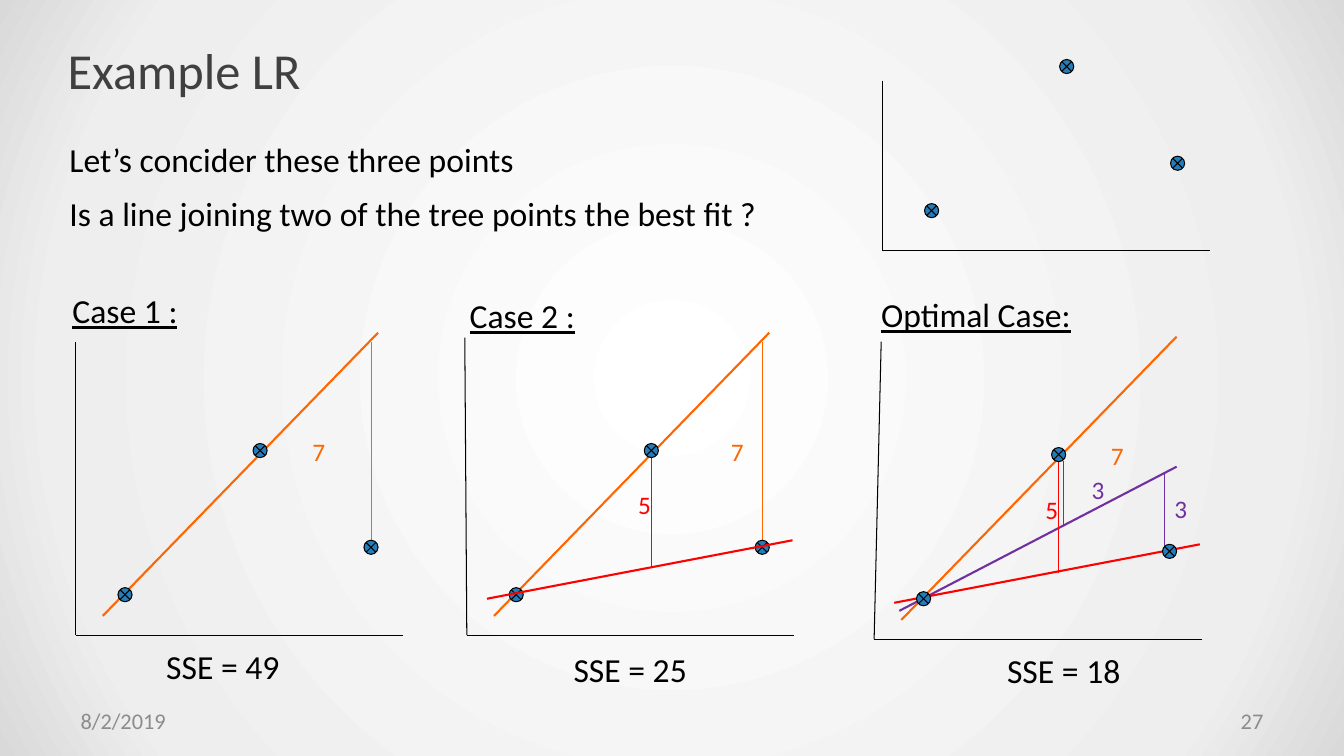
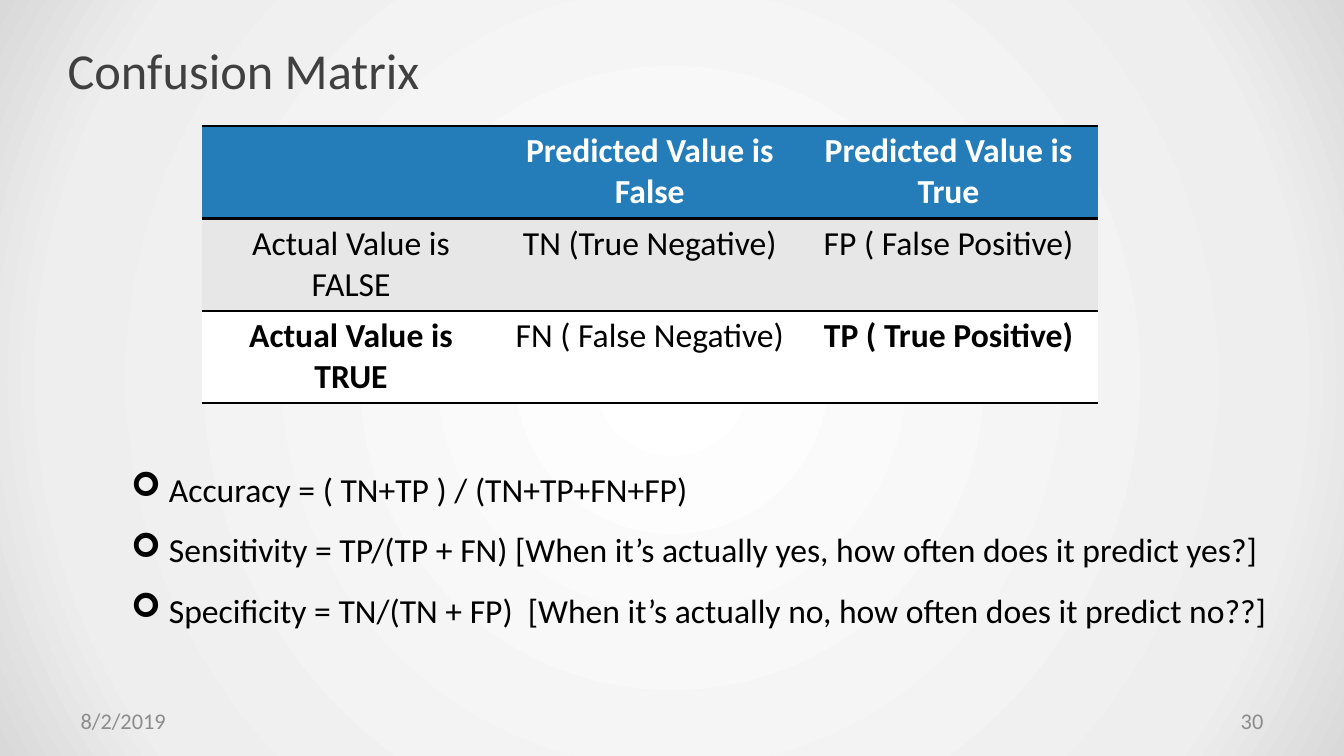
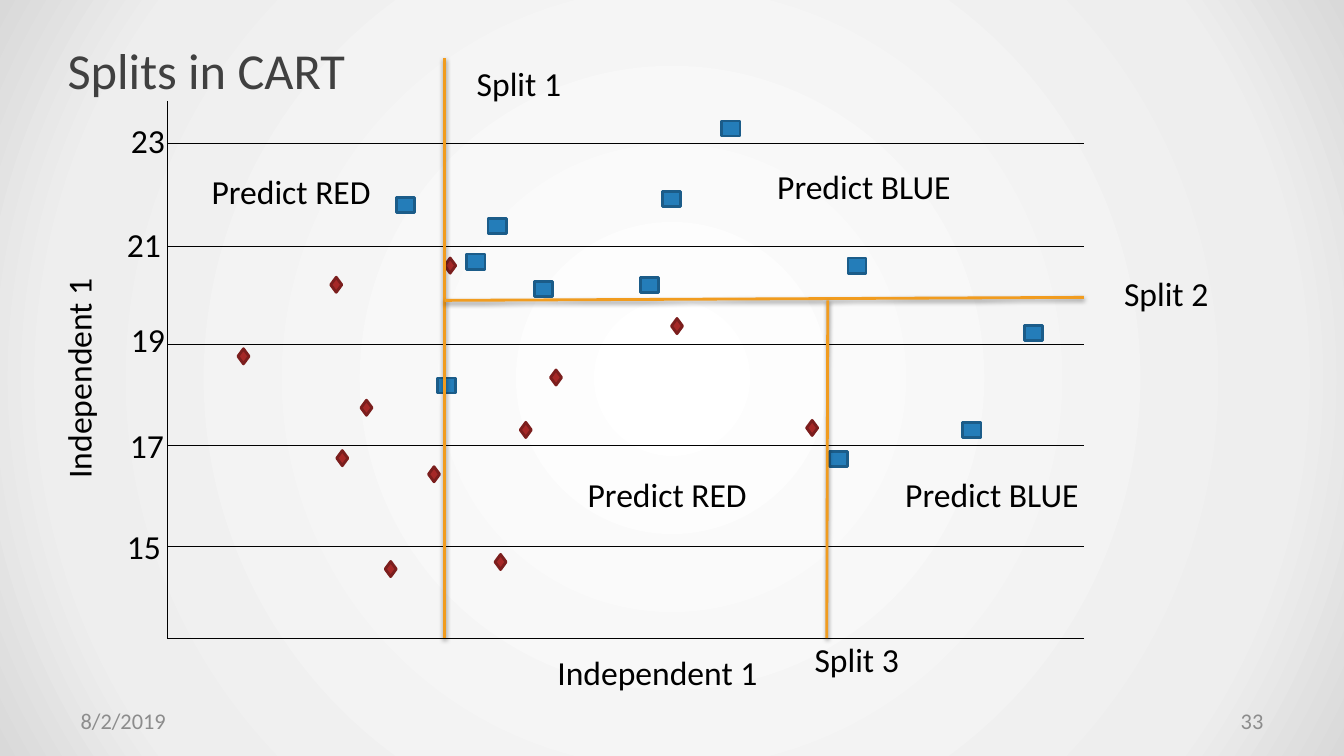
from dataclasses import dataclass

from lxml.etree import SubElement
from pptx import Presentation
from pptx.dml.color import RGBColor
from pptx.enum.shapes import MSO_CONNECTOR, MSO_SHAPE
from pptx.enum.text import MSO_ANCHOR, MSO_AUTO_SIZE, PP_ALIGN
from pptx.oxml import parse_xml
from pptx.oxml.ns import nsdecls, qn
from pptx.util import Inches, Pt

CELL = 0.25
FONT = "Calibri"
BLACK, WHITE, GREY, TITLE_GREY = "000000", "FFFFFF", "8C8C8C", "404040"
BLUE, NAVY, CRIMSON, MAROON = "247DB9", "1B5C89", "A62827", "7B1E1D"
ORANGE, RED, PURPLE, AMBER = "FF6600", "FF0000", "7030A0", "F19C1F"
BAND = "E7E7E7"
BACKDROP = [(0, WHITE), (81, "EEEEEE"), (100, "D9D9D9")]


@dataclass
class Region:
    """A region of the slide grid; rise is -1 when its rows count upward."""
    column: float
    row: float
    rise: int = 1

    def at(self, column, row):
        """Return the slide position of a cell of this region."""
        return cells(self.column + column), cells(self.row + self.rise * row)


@dataclass
class Case:
    """One regression panel: its place, caption, result, lines and labels."""
    place: Region
    axis_top: tuple
    caption: tuple = ()
    result: tuple = ()
    fits: tuple = ()
    residuals: tuple = ()
    labels: tuple = ()
    overlays: tuple = ()


PAGE = Region(0, 0)


def cells(count):
    """Convert a count of grid cells to a length."""
    return Inches(count * CELL)


def colour(code):
    """Turn a hex string into a colour."""
    return RGBColor.from_string(code)


def style(paragraph, size, code=BLACK, bold=False, underline=False, align=None):
    """Format one paragraph."""
    font = paragraph.font
    font.name, font.size, font.bold = FONT, Pt(size), bold
    font.color.rgb = colour(code)
    if underline:
        font.underline = True
    if align is not None:
        paragraph.alignment = align


def label(slide, region, column, row, width, words, size=24, code=BLACK, underline=False):
    """Write a one-line label at a cell of a region."""
    box = slide.shapes.add_textbox(*region.at(column, row), cells(width), cells(size / 12))
    box.text_frame.word_wrap = False
    box.text_frame.text = words
    style(box.text_frame.paragraphs[0], size, code, underline=underline)
    return box


def line(slide, region, start, end, code=BLACK, weight=0.75, shadow=False):
    """Draw a straight line between two cells of a region."""
    stroke = slide.shapes.add_connector(MSO_CONNECTOR.STRAIGHT, *region.at(*start), *region.at(*end))
    stroke.line.color.rgb = colour(code)
    stroke.line.width = Pt(weight)
    effects = SubElement(stroke._element.spPr, qn("a:effectLst"))
    if shadow:
        effects.append(parse_xml(
            f'<a:outerShdw {nsdecls("a")} blurRad="{Pt(3.1)}" dist="{Pt(1.6)}" dir="5400000" rotWithShape="0">'
            f'<a:srgbClr val="{BLACK}"><a:alpha val="38000"/></a:srgbClr></a:outerShdw>'))


def marker(slide, region, centre, kind, width, height, fill, edge, weight):
    """Place a data marker centred on a cell of a region."""
    left, top = region.at(*centre)
    wide, high = cells(width), cells(height)
    mark = slide.shapes.add_shape(kind, left - wide // 2, top - high // 2, wide, high)
    mark.shadow.inherit = False
    mark.fill.solid()
    mark.fill.fore_color.rgb = colour(fill)
    mark.line.color.rgb = colour(edge)
    mark.line.width = Pt(weight)


def set_backdrop(master):
    """Give the master the shared radial background."""
    stops = "".join(f'<a:gs pos="{pos * 1000}"><a:srgbClr val="{code}"/></a:gs>' for pos, code in BACKDROP)
    sheet = master._element.find(qn("p:cSld"))
    for former in sheet.findall(qn("p:bg")):
        sheet.remove(former)
    sheet.insert(0, parse_xml(
        f'<p:bg {nsdecls("p", "a")}><p:bgPr><a:gradFill rotWithShape="1"><a:gsLst>{stops}</a:gsLst>'
        '<a:path path="circle"><a:fillToRect l="50000" t="50000" r="50000" b="50000"/></a:path>'
        '</a:gradFill><a:effectLst/></p:bgPr></p:bg>'))


def place(shape, column, row, width, height):
    """Move a placeholder to a block of grid cells."""
    shape.left, shape.top = PAGE.at(column, row)
    shape.width, shape.height = cells(width), cells(height)


def footer_part(slide, column, words, align):
    """Write one end of the footer."""
    box = slide.shapes.add_textbox(*PAGE.at(column, 27.8), cells(12.44), cells(1.6))
    frame = box.text_frame
    frame.word_wrap, frame.vertical_anchor = True, MSO_ANCHOR.MIDDLE
    frame.margin_left = frame.margin_right = Inches(0.13)
    frame.margin_top = frame.margin_bottom = Inches(0.07)
    frame.text = words
    style(frame.paragraphs[0], 16, GREY, align=align)


def start_slide(deck, layout, heading, number):
    """Add a slide with the shared title and footer."""
    slide = deck.slides.add_slide(deck.slide_layouts[layout])
    title = slide.shapes.title
    place(title, 2.68, 1.2, 48, 3.12)
    frame = title.text_frame
    frame.text = heading
    frame.auto_size, frame.vertical_anchor = MSO_AUTO_SIZE.NONE, MSO_ANCHOR.MIDDLE
    frame.margin_left = frame.margin_right = 0
    frame.margin_top = frame.margin_bottom = Inches(0.07)
    style(frame.paragraphs[0], 36, TITLE_GREY, align=PP_ALIGN.LEFT)
    footer_part(slide, 2.68, "8/2/2019", PP_ALIGN.LEFT)
    footer_part(slide, 38.2, number, PP_ALIGN.RIGHT)
    return slide


def draw_case(slide, case):
    """Draw a panel with axes, three points and its fitted lines."""
    line(slide, case.place, case.axis_top, (0, 0))
    line(slide, case.place, (0, 0), (13, 0))
    for start, end, code in case.fits:
        line(slide, case.place, start, end, code, 1.5)
    for start, end, code in case.residuals:
        line(slide, case.place, start, end, code)
    for digit, column, row, code in case.labels:
        label(slide, case.place, column, row, 1.32, digit, 18, code)
    for centre in ((1.96, 1.6), (11.72, 3.48), (7.32, 7.32)):
        marker(slide, case.place, centre, MSO_SHAPE.FLOWCHART_SUMMING_JUNCTION, 0.56, 0.56, BLUE, BLACK, 0.75)
    for start, end, code in case.overlays:
        line(slide, case.place, start, end, code, 1.5)
    if case.caption:
        label(slide, case.place, *case.caption, underline=True)
        label(slide, case.place, *case.result)


def regression_slide(deck):
    """Compare three candidate regression lines."""
    slide = start_slide(deck, 5, "Example LR", "27")
    label(slide, PAGE, 2.36, 5.32, 18.6, "Let’s concider these three points")
    label(slide, PAGE, 2.36, 7.44, 28.28, "Is a line joining two of the tree points the best fit ?")
    steep = ((1.08, 0.76), (12, 12), ORANGE)
    flat = ((0.8, 1.44), (12.92, 3.76), RED)
    best = ((1, 1.12), (12, 6.84), PURPLE)
    steep_gap = ((11.72, 3.76), (11.72, 11.64), ORANGE)
    flat_gap = ((7.32, 2.64), (7.32, 7.04), RED)
    best_gaps = (((7.52, 7.08), (7.52, 4.52), PURPLE), ((11.52, 6.56), (11.52, 3.68), PURPLE))
    seven, five = ("7", 9, 8.08, ORANGE), ("5", 6.4, 5.96, RED)
    cases = (
        Case(Region(35, 9.96, -1), (0, 6.76)),
        Case(Region(3, 25.2, -1), (0, 11.64), (-0.52, 13.88, 5, "Case 1 :"),
             (3.2, -0.24, 5.32, "SSE = 49"), (steep,), (steep_gap,), (seven,)),
        Case(Region(18.52, 25.2, -1), (-0.08, 11.8), (-0.28, 13.68, 5, "Case 2 :"),
             (3.84, -0.36, 5.32, "SSE = 25"), (steep,), (steep_gap, flat_gap),
             (("7", 10.08, 8.08, ORANGE), five), (flat,)),
        Case(Region(34.68, 25.36, -1), (0.28, 11.8), (-0.12, 13.88, 8.4, "Optimal Case:"),
             (4.88, -0.24, 5.32, "SSE = 18"), (best, steep, flat), (*best_gaps, flat_gap),
             (seven, five, ("3", 8.24, 6.72, PURPLE), ("3", 11.52, 6, PURPLE))),
    )
    for case in cases:
        draw_case(slide, case)


def edge_cell(cell, tag):
    """Rule one side of a table cell in black."""
    cell._tc.get_or_add_tcPr().append(parse_xml(
        f'<a:{tag} {nsdecls("a")} w="{Pt(2)}"><a:solidFill><a:srgbClr val="{BLACK}"/></a:solidFill></a:{tag}>'))


def confusion_table(slide, region):
    """Fill the confusion matrix table."""
    rows = (
        ("", "Predicted Value is False", "Predicted Value is True"),
        ("Actual Value is FALSE", "TN (True Negative)", "FP ( False Positive)"),
        ("Actual Value is\nTRUE", "FN ( False Negative)", "TP ( True Positive)"),
    )
    looks = (
        (BLUE, WHITE, (0, 1, 2), ("lnT", "lnB")),
        (BAND, BLACK, (), ("lnT",)),
        (WHITE, BLACK, (0, 2), ("lnB",)),
    )
    table = slide.shapes.add_table(3, 3, *region.at(0, 0), cells(35.56), cells(11)).table
    table._tbl.tblPr.find(qn("a:tableStyleId")).text = "{2D5ABB26-0587-4C30-8999-92F81FD0307C}"
    for y, (words, (fill, ink, bold_columns, edges)) in enumerate(zip(rows, looks)):
        for x, entry in enumerate(words):
            cell = table.cell(y, x)
            cell.text = entry
            for tag in edges:
                edge_cell(cell, tag)
            cell.fill.solid()
            cell.fill.fore_color.rgb = colour(fill)
            for paragraph in cell.text_frame.paragraphs:
                style(paragraph, 24, ink, x in bold_columns, align=PP_ALIGN.CENTER)


def formula_list(body):
    """Write the bulleted measures into the body placeholder."""
    place(body, 4.8, 17.6, 46.32, 10.08)
    frame = body.text_frame
    frame.word_wrap, frame.auto_size = True, MSO_AUTO_SIZE.NONE
    frame.vertical_anchor = MSO_ANCHOR.TOP
    frame.text = "\n".join((
        "Accuracy = ( TN+TP ) / (TN+TP+FN+FP)",
        "Sensitivity = TP/(TP + FN) [When it’s actually yes, how often does it predict yes?]",
        "Specificity = TN/(TN + FP)  [When it’s actually no, how often does it predict no??]",
    ))
    for paragraph in frame.paragraphs:
        properties = paragraph._p.get_or_add_pPr()
        properties.set("marL", str(cells(1.5)))
        properties.set("indent", str(-cells(1.5)))
        SubElement(properties, qn("a:buFont")).set("typeface", "Wingdings")
        SubElement(properties, qn("a:buChar")).set("char", "➢")
        paragraph.line_spacing = 1.5
        paragraph.space_before = Pt(0)
        style(paragraph, 24, align=PP_ALIGN.LEFT)


def matrix_slide(deck):
    """Show the confusion matrix and its measures."""
    slide = start_slide(deck, 1, "Confusion Matrix", "30")
    confusion_table(slide, Region(8, 5))
    formula_list(slide.placeholders[1])


def split_plot(slide, plot):
    """Draw the scatter of two classes with its splits."""
    right, floor = 36.36, 21.32
    reds = ((25.58, 12.98), (7.9, 12.18), (11.22, 6.54), (3.02, 10.14), (6.7, 7.3), (10.58, 14.82),
            (13.22, 18.3), (15.42, 10.98), (14.22, 13.06), (20.22, 8.94), (6.94, 14.18), (8.86, 18.58))
    blues = ((9.44, 4.14), (11.08, 11.3), (12.24, 6.38), (13.08, 4.98), (14.92, 7.46), (19.12, 7.3),
             (20, 3.9), (22.36, 1.1), (27.36, 6.54), (26.64, 14.22), (31.92, 13.06), (34.36, 9.22))
    ticks = (("23", 1.68, -1.84, 0.56), ("21", 5.8, -2, 4.68), ("19", 9.68, -1.84, 8.44),
             ("17", 13.68, -1.88, 12.68), ("15", 17.68, -2, 16.68))
    splits = (((11, -1.68), (11, floor)), ((11, 7.92), (right, 7.8)), ((26.2, 7.92), (26.16, floor)))
    captions = ((11.88, -1.68, 4.2, "Split 1"), (37.56, 6.64, 4.2, "Split 2"), (25.28, 21.16, 4.2, "Split 3"),
                (1.36, 2.6, 7.16, "Predict RED"), (23.8, 2.4, 7.76, "Predict BLUE"),
                (16.28, 14.6, 7.16, "Predict RED"), (28.88, 14.6, 7.76, "Predict BLUE"),
                (15.08, 21.68, 8.84, "Independent 1"))
    line(slide, plot, (0, 0), (0, floor))
    line(slide, plot, (right, floor), (0, floor))
    for value, level, column, row in ticks:
        line(slide, plot, (right, level), (0, level))
        label(slide, plot, column, row, 2.16, value)
    for centre in reds:
        marker(slide, plot, centre, MSO_SHAPE.DIAMOND, 0.44, 0.6, CRIMSON, MAROON, 2)
    for centre in blues:
        marker(slide, plot, centre, MSO_SHAPE.RECTANGLE, 0.72, 0.6, BLUE, NAVY, 2)
    for start, end in splits:
        line(slide, plot, start, end, AMBER, 2, shadow=True)
    for caption in captions:
        label(slide, plot, *caption)
    label(slide, plot, -7.96, 9.96, 8.84, "Independent 1").rotation = 270


def split_slide(deck):
    """Show how a tree splits the plane."""
    split_plot(start_slide(deck, 5, "Splits in CART", "33"), Region(6.64, 4))


def main():
    """Build the deck."""
    deck = Presentation()
    deck.slide_width, deck.slide_height = Inches(13.33), Inches(7.5)
    set_backdrop(deck.slide_master)
    regression_slide(deck)
    matrix_slide(deck)
    split_slide(deck)
    deck.save("out.pptx")


if __name__ == "__main__":
    main()
